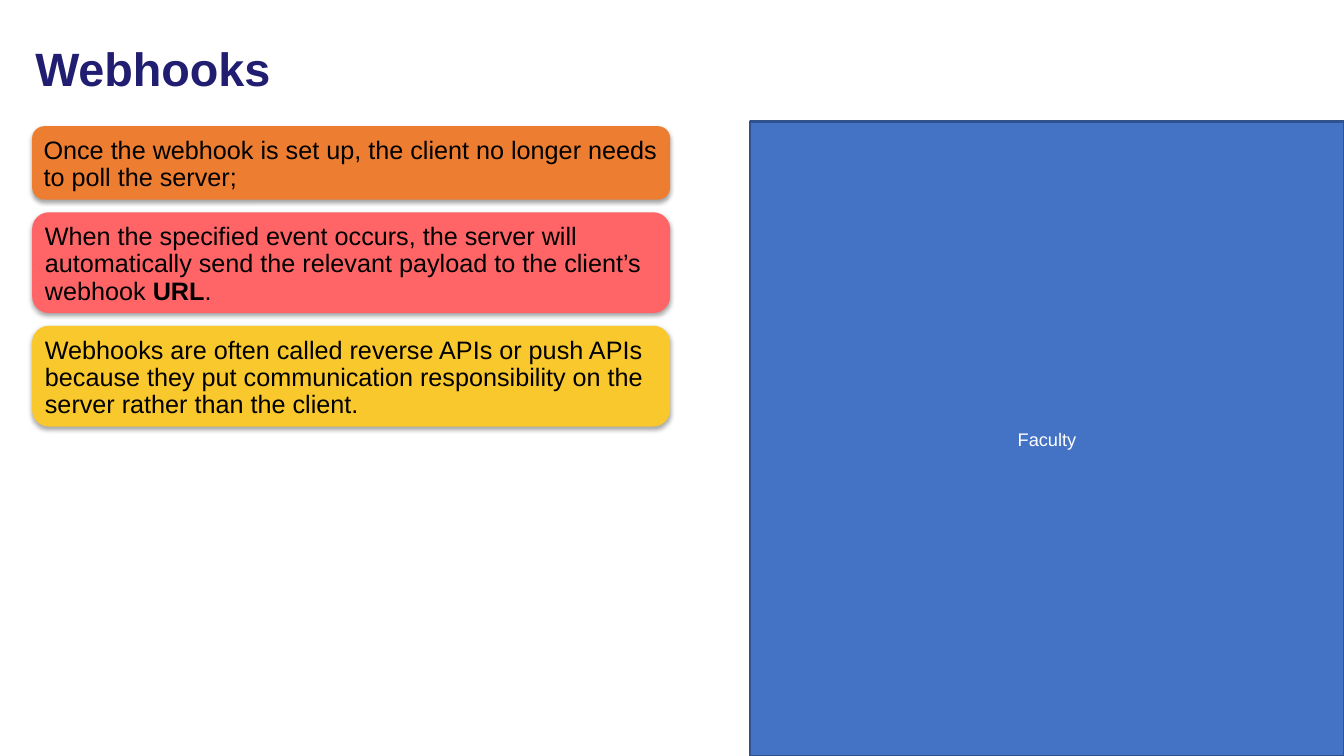
from lxml import etree
from pptx import Presentation
from pptx.dml.color import RGBColor
from pptx.enum.shapes import MSO_SHAPE
from pptx.enum.text import MSO_ANCHOR, PP_ALIGN
from pptx.util import Cm, Pt

RECTANGLE = MSO_SHAPE.RECTANGLE
ROUNDED = MSO_SHAPE.ROUNDED_RECTANGLE
MIDDLE = MSO_ANCHOR.MIDDLE
LEFT, CENTER = PP_ALIGN.LEFT, PP_ALIGN.CENTER

NAVY = RGBColor(0x21, 0x1D, 0x70)
BLUE = RGBColor(0x44, 0x72, 0xC4)
DARK_BLUE = RGBColor(0x2F, 0x52, 0x8F)
ORANGE = RGBColor(0xED, 0x7D, 0x31)
CORAL = RGBColor(0xFF, 0x65, 0x66)
YELLOW = RGBColor(0xF9, 0xC8, 0x2D)
BLACK = RGBColor(0, 0, 0)
WHITE = RGBColor(0xFF, 0xFF, 0xFF)

SOFT_SHADOW = (
    '<a:effectLst xmlns:a="http://schemas.openxmlformats.org/drawingml/2006/main">'
    '<a:outerShdw blurRad="40000" dist="23000" dir="5400000" rotWithShape="0">'
    '<a:srgbClr val="000000"><a:alpha val="35000"/></a:srgbClr>'
    '</a:outerShdw></a:effectLst>'
)


def write(shape, parts, size, color, align=LEFT, spacing=0.9):
    frame = shape.text_frame
    frame.word_wrap = True
    frame.vertical_anchor = MIDDLE
    paragraph = frame.paragraphs[0]
    paragraph.alignment = align
    paragraph.line_spacing = spacing
    for text, bold in parts:
        run = paragraph.add_run()
        run.text = text
        run.font.name = "Arial"
        run.font.size = Pt(size)
        run.font.bold = bold
        run.font.color.rgb = color


prs = Presentation()
prs.slide_width, prs.slide_height = Cm(33.87), Cm(19.05)
slide = prs.slides.add_slide(prs.slide_layouts[6])

faculty = slide.shapes.add_shape(RECTANGLE, Cm(18.9), Cm(3.07), Cm(14.97), Cm(15.98))
faculty.shadow.inherit = False
faculty.fill.solid()
faculty.fill.fore_color.rgb = BLUE
faculty.line.color.rgb = DARK_BLUE
faculty.line.width = Pt(2)
write(faculty, [("Faculty", False)], 13, WHITE, CENTER, 1.0)

title = slide.shapes.add_textbox(Cm(0.64), Cm(0.64), Cm(30), Cm(2.31))
write(title, [("Webhooks", True)], 33.4, NAVY)

points = [
    (ORANGE, 1.85, [
        ("Once the webhook is set up, the client no longer needs to poll the server;", False),
    ]),
    (CORAL, 2.54, [
        ("When the specified event occurs, the server will automatically send "
         "the relevant payload to the client’s webhook ", False),
        ("URL", True),
        (".", False),
    ]),
    (YELLOW, 2.54, [
        ("Webhooks are often called reverse APIs or push APIs because they put "
         "communication responsibility on the server rather than the client.", False),
    ]),
]
gap = 0.32
top = 3.18
for color, height, parts in points:
    point = slide.shapes.add_shape(ROUNDED, Cm(0.81), Cm(top), Cm(16.08), Cm(height))
    point.fill.solid()
    point.fill.fore_color.rgb = color
    point.line.fill.background()
    point._element.spPr.append(etree.fromstring(SOFT_SHADOW))
    frame = point.text_frame
    frame.margin_left = frame.margin_right = frame.margin_top = Cm(0.2)
    frame.margin_bottom = Cm(0.1)
    write(point, parts, 18, BLACK)
    top += height + gap

prs.save("out.pptx")
